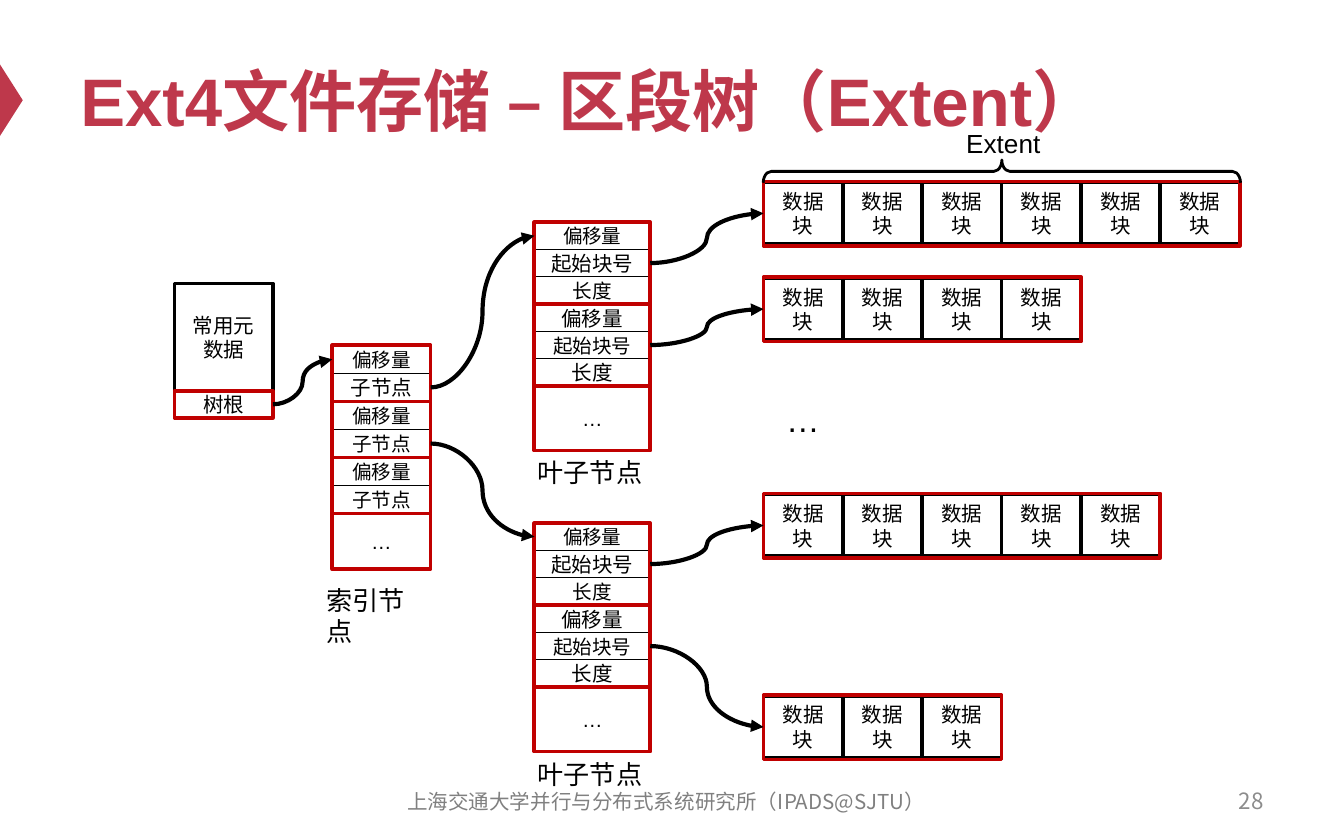
from dataclasses import dataclass
from typing import Optional

from lxml.etree import SubElement
from pptx import Presentation
from pptx.dml.color import RGBColor
from pptx.enum.shapes import MSO_CONNECTOR, MSO_SHAPE
from pptx.enum.text import MSO_ANCHOR, PP_ALIGN
from pptx.oxml.ns import qn
from pptx.shapes.autoshape import Shape
from pptx.slide import Slide
from pptx.util import Cm, Pt

COLORS = {
    "title": "BE384B",
    "frame": "C00000",
    "ink": "000000",
    "paper": "FFFFFF",
    "footer": "808080",
    "number": "8C8C8C",
}
BLOCK_LEFT, BLOCK_WIDTH, BLOCK_HEIGHT = 14.43, 1.5, 1.17


@dataclass
class Box:
    left: float
    top: float
    width: float
    height: float


@dataclass
class Label:
    box: Box
    text: str
    size: float
    color: str = "ink"
    font: str = "Arial"
    bold: bool = False
    align: PP_ALIGN = PP_ALIGN.LEFT
    anchor: MSO_ANCHOR = MSO_ANCHOR.TOP
    wrap: bool = False


@dataclass
class Node:
    """A tree node: framed entries of equal height, then a frame with an ellipsis."""
    left: float
    top: float
    width: float
    fields: list[str]
    sizes: list[list[float]]
    entry_height: float
    rest_height: float


@dataclass
class Extent:
    top: float
    blocks: int
    leaf: int
    row: int


def color(name: str) -> RGBColor:
    return RGBColor.from_string(COLORS[name])


def write(shape: Shape, text: str, size: float, ink: str, font: str, align: PP_ALIGN):
    paragraph = shape.text_frame.paragraphs[0]
    paragraph.text = text
    paragraph.alignment = align
    paragraph.font.size = Pt(size)
    paragraph.font.name = font
    paragraph.font.color.rgb = color(ink)
    return paragraph


def add_label(slide: Slide, label: Label) -> None:
    box = label.box
    shape = slide.shapes.add_textbox(Cm(box.left), Cm(box.top), Cm(box.width), Cm(box.height))
    shape.text_frame.word_wrap = label.wrap
    shape.text_frame.vertical_anchor = label.anchor
    paragraph = write(shape, label.text, label.size, label.color, label.font, label.align)
    paragraph.font.bold = label.bold


def add_preset(slide: Slide, preset: MSO_SHAPE, box: Box, fill: Optional[str],
               line: Optional[str], line_width: float = 0) -> Shape:
    shape = slide.shapes.add_shape(preset, Cm(box.left), Cm(box.top), Cm(box.width), Cm(box.height))
    shape.shadow.inherit = False
    if fill:
        shape.fill.solid()
        shape.fill.fore_color.rgb = color(fill)
    else:
        shape.fill.background()
    if line:
        shape.line.color.rgb = color(line)
        shape.line.width = Pt(line_width)
    else:
        shape.line.fill.background()
    return shape


def add_cell(slide: Slide, box: Box, text: str = "", size: float = 11, fill: Optional[str] = "paper",
             line: str = "ink", line_width: float = 2) -> Shape:
    shape = add_preset(slide, MSO_SHAPE.RECTANGLE, box, fill, line, line_width)
    if text:
        frame = shape.text_frame
        frame.word_wrap = True
        frame.vertical_anchor = MSO_ANCHOR.MIDDLE
        frame.margin_top = frame.margin_bottom = 0
        write(shape, text, size, "ink", "Arial", PP_ALIGN.CENTER)
    return shape


def add_frame(slide: Slide, box: Box, text: str = "") -> Shape:
    return add_cell(slide, box, text, fill=None, line="frame")


def add_node(slide: Slide, node: Node) -> list[Shape]:
    row_height = node.entry_height / len(node.fields)
    tops = [node.top + index * node.entry_height for index in range(len(node.sizes))]
    cells = [
        add_cell(slide, Box(node.left, top + row * row_height, node.width, row_height),
                 field, sizes[row], line_width=0.5)
        for top, sizes in zip(tops, node.sizes)
        for row, field in enumerate(node.fields)
    ]
    for top in tops:
        add_frame(slide, Box(node.left, top, node.width, node.entry_height))
    rest_top = node.top + len(tops) * node.entry_height
    add_frame(slide, Box(node.left, rest_top, node.width, node.rest_height), "…")
    return cells


def add_extent(slide: Slide, extent: Extent) -> Shape:
    blocks = [
        add_cell(slide, Box(BLOCK_LEFT + index * BLOCK_WIDTH, extent.top, BLOCK_WIDTH, BLOCK_HEIGHT), "数据块")
        for index in range(extent.blocks)
    ]
    add_frame(slide, Box(BLOCK_LEFT, extent.top - 0.02, extent.blocks * BLOCK_WIDTH, BLOCK_HEIGHT + 0.05))
    return blocks[0]


def add_pointer(slide: Slide, source: Shape, target: Shape) -> None:
    connector = slide.shapes.add_connector(
        MSO_CONNECTOR.CURVE,
        source.left + source.width, source.top + source.height // 2,
        target.left, target.top + target.height // 2)
    connector.begin_connect(source, 3)
    connector.end_connect(target, 1)
    connector.line.color.rgb = color("ink")
    connector.line.width = Pt(2.25)
    SubElement(connector.line._get_or_add_ln(), qn("a:tailEnd"), type="triangle")
    SubElement(connector._element.spPr, qn("a:effectLst"))


def main() -> None:
    presentation = Presentation()
    presentation.slide_width, presentation.slide_height = Cm(25.4), Cm(15.88)
    slide = presentation.slides.add_slide(presentation.slide_layouts[6])

    # Title marker, title and footer
    marker = add_preset(slide, MSO_SHAPE.ISOSCELES_TRIANGLE, Box(-0.46, 1.68, 1.35, 0.43), "title", None)
    marker.rotation = 90
    middle = MSO_ANCHOR.MIDDLE
    cjk = "Noto Sans CJK SC"
    labels = [
        Label(Box(1.27, 0.64, 22.86, 2.49), "Ext4文件存储 – 区段树（Extent）", 36, "title",
              bold=True, anchor=middle, wrap=True),
        Label(Box(18.21, 14.71, 5.92, 0.84), "28", 12, "number", cjk,
              align=PP_ALIGN.RIGHT, anchor=middle, wrap=True),
        Label(Box(7.09, 14.73, 11, 0.84), "上海交通大学并行与分布式系统研究所（IPADS@SJTU）", 11, "footer", cjk,
              align=PP_ALIGN.CENTER, anchor=middle, wrap=True),
        # Captions of the diagram
        Label(Box(5.92, 10.92, 2.39, 0.81), "索引节点", 14, wrap=True),
        Label(Box(9.91, 8.51, 2.49, 0.86), "叶子节点", 14),
        Label(Box(9.91, 14.22, 2.49, 0.86), "叶子节点", 14),
        Label(Box(18.01, 2.29, 2.41, 0.86), "Extent", 14, wrap=True),
        Label(Box(14.61, 7.42, 1.14, 1.02), "…", 18),
    ]
    for label in labels:
        add_label(slide, label)

    # File metadata with the tree root
    add_cell(slide, Box(3.3, 5.36, 1.86, 2.03), "常用元数据")
    root = add_cell(slide, Box(3.3, 7.39, 1.86, 0.51), "树根", line="frame")

    # Index node and leaf nodes
    index = add_node(slide, Node(6.28, 6.53, 1.86, ["偏移量", "子节点"],
                                 [[10.5, 11], [10.5, 10.5], [10.5, 10.5]], 1.06, 1.05))
    leaves = [
        add_node(slide, Node(10.1, top, 2.19, ["偏移量", "起始块号", "长度"],
                             [[10.5, 11, 10.5], [11, 10.5, 11]], 1.55, 1.22))
        for top in (4.2, 9.89)
    ]
    add_pointer(slide, root, index[0])
    add_pointer(slide, index[1], leaves[0][0])
    add_pointer(slide, index[3], leaves[1][0])

    # Extents, each pointed to by a start block number
    extents = [Extent(3.45, 6, 0, 1), Extent(5.26, 4, 0, 4), Extent(9.35, 5, 1, 1), Extent(13.16, 3, 1, 4)]
    for extent in extents:
        first_block = add_extent(slide, extent)
        add_pointer(slide, leaves[extent.leaf][extent.row], first_block)

    # Brace over the first extent
    brace = add_preset(slide, MSO_SHAPE.RIGHT_BRACE, Box(18.72, -1.27, 0.43, 9.02), None, "ink", 1.5)
    brace.rotation = 270
    brace.adjustments[0] = 0.35

    presentation.save("out.pptx")


if __name__ == "__main__":
    main()
